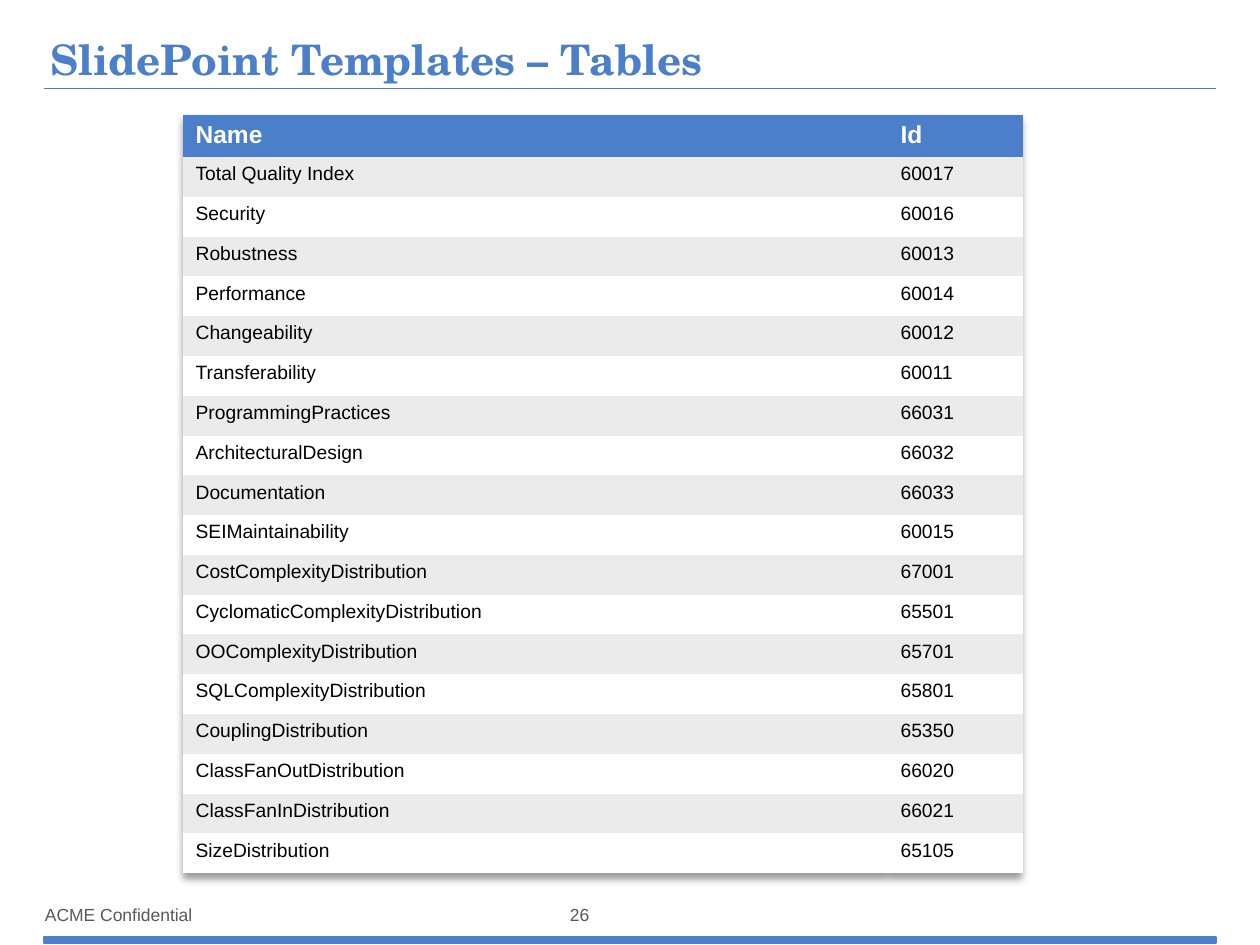
"""Builds a slide that lists the quality indicators and their identifiers."""
import lxml.etree
import pptx
import pptx.dml.color
import pptx.enum.shapes
import pptx.enum.text
import pptx.oxml
import pptx.oxml.ns
import pptx.util

BLUE = pptx.dml.color.RGBColor(0x4B, 0x7F, 0xC9)
GREY = pptx.dml.color.RGBColor(0x59, 0x59, 0x59)
BAND = pptx.dml.color.RGBColor(0xEB, 0xEB, 0xEB)
WHITE = pptx.dml.color.RGBColor(0xFF, 0xFF, 0xFF)
BLACK = pptx.dml.color.RGBColor(0x00, 0x00, 0x00)

ANCHOR = pptx.enum.text.MSO_ANCHOR
ALIGN = pptx.enum.text.PP_ALIGN
PLAIN_TABLE_STYLE = "{2D5ABB26-0587-4C30-8999-92F81FD0307C}"
TABLE_SHADOW = (
    f'<a:effectLst {pptx.oxml.ns.nsdecls("a")}>'
    '<a:outerShdw blurRad="50800" dist="38100" dir="5400000" algn="t" rotWithShape="0">'
    '<a:prstClr val="black"><a:alpha val="40000"/></a:prstClr>'
    "</a:outerShdw></a:effectLst>"
)

INDICATORS = [
    ("Total Quality Index", "60017"),
    ("Security", "60016"),
    ("Robustness", "60013"),
    ("Performance", "60014"),
    ("Changeability", "60012"),
    ("Transferability", "60011"),
    ("ProgrammingPractices", "66031"),
    ("ArchitecturalDesign", "66032"),
    ("Documentation", "66033"),
    ("SEIMaintainability", "60015"),
    ("CostComplexityDistribution", "67001"),
    ("CyclomaticComplexityDistribution", "65501"),
    ("OOComplexityDistribution", "65701"),
    ("SQLComplexityDistribution", "65801"),
    ("CouplingDistribution", "65350"),
    ("ClassFanOutDistribution", "66020"),
    ("ClassFanInDistribution", "66021"),
    ("SizeDistribution", "65105"),
]


class SlideBuilder:
    """Holds the style and the current slide."""

    scale = pptx.util.Inches(1) / 126
    body_font = "Arial"
    title_font = "TeX Gyre Schola"

    def __init__(self, slide):
        self.slide = slide

    def px(self, *lengths):
        return [round(length * self.scale) for length in lengths]

    def apply(self, target, values):
        for name, value in values.items():
            setattr(target, name, value)

    def fill_text(self, frame, text, size, color, bold=False, font=None, **layout):
        paragraph = frame.paragraphs[0]
        self.apply(paragraph, layout)
        run = paragraph.add_run()
        run.text = text
        run.font.color.rgb = color
        self.apply(run.font, {
            "name": font or self.body_font,
            "size": pptx.util.Pt(size),
            "bold": bold,
        })

    def title(self, text, *box):
        shape = self.slide.shapes.title
        self.apply(shape, dict(zip(("left", "top", "width", "height"), self.px(*box))))
        inset = pptx.util.Inches(0.05)
        self.apply(shape.text_frame, {
            "margin_left": inset, "margin_top": inset,
            "margin_right": inset, "margin_bottom": 0,
            "vertical_anchor": ANCHOR.BOTTOM,
            "auto_size": pptx.enum.text.MSO_AUTO_SIZE.NONE,
            "word_wrap": True,
        })
        self.fill_text(shape.text_frame, text, 24, BLUE, True, self.title_font,
                       alignment=ALIGN.LEFT, line_spacing=0.9)

    def text(self, text, *box, frame_format, **layout):
        frame = self.slide.shapes.add_textbox(*self.px(*box)).text_frame
        self.apply(frame, frame_format)
        self.fill_text(frame, text, 10, GREY, **layout)

    def rule(self, left, top, right):
        connector = self.slide.shapes.add_connector(
            pptx.enum.shapes.MSO_CONNECTOR.STRAIGHT, *self.px(left, top, right, top))
        connector.line.color.rgb = BLUE
        connector.line.width = pptx.util.Pt(0.5)
        lxml.etree.SubElement(connector._element.spPr, pptx.oxml.ns.qn("a:effectLst"))

    def bar(self, *box):
        shape = self.slide.shapes.add_shape(
            pptx.enum.shapes.MSO_SHAPE.RECTANGLE, *self.px(*box))
        shape.shadow.inherit = False
        shape.fill.solid()
        shape.fill.fore_color.rgb = BLUE
        shape.line.color.rgb = BLUE
        shape.line.width = pptx.util.Pt(0.75)

    def table(self, header, records, left, top, widths, height):
        rows = [header, *records]
        table = self.slide.shapes.add_table(
            len(rows), len(header), *self.px(left, top, sum(widths), height)).table
        properties = table._tbl.tblPr
        properties.find(pptx.oxml.ns.qn("a:tableStyleId")).text = PLAIN_TABLE_STYLE
        properties.insert(0, pptx.oxml.parse_xml(TABLE_SHADOW))
        for column, width in zip(table.columns, self.px(*widths)):
            column.width = width
        for index, values in enumerate(rows):
            fill = BLUE if index == 0 else BAND if index % 2 else WHITE
            size, color, bold = (11, BLACK, False) if index else (14, WHITE, True)
            for cell, value in zip(table.rows[index].cells, values):
                cell.fill.solid()
                cell.fill.fore_color.rgb = fill
                self.fill_text(cell.text_frame, value, size, color, bold)


def main():
    presentation = pptx.Presentation()
    presentation.slide_width = pptx.util.Inches(10)
    presentation.slide_height = pptx.util.Inches(7.5)
    builder = SlideBuilder(presentation.slides.add_slide(presentation.slide_layouts[5]))

    builder.text("ACME Confidential", 45, 898, 155, 32, frame_format={
        "margin_left": 0, "margin_top": 0, "margin_right": 0, "margin_bottom": 0,
        "vertical_anchor": ANCHOR.MIDDLE, "word_wrap": False,
    })
    builder.rule(44, 88, 1216)
    builder.bar(44, 937, 1172, 6)
    builder.text("26", 545, 898, 69, 32, frame_format={"word_wrap": True},
                 alignment=ALIGN.CENTER, space_before=pptx.util.Pt(2))
    builder.title("SlidePoint Templates – Tables", 44, 33, 1172, 52)
    builder.table(("Name", "Id"), INDICATORS, 183, 115, (705, 135), 756)
    presentation.save("out.pptx")


if __name__ == "__main__":
    main()
